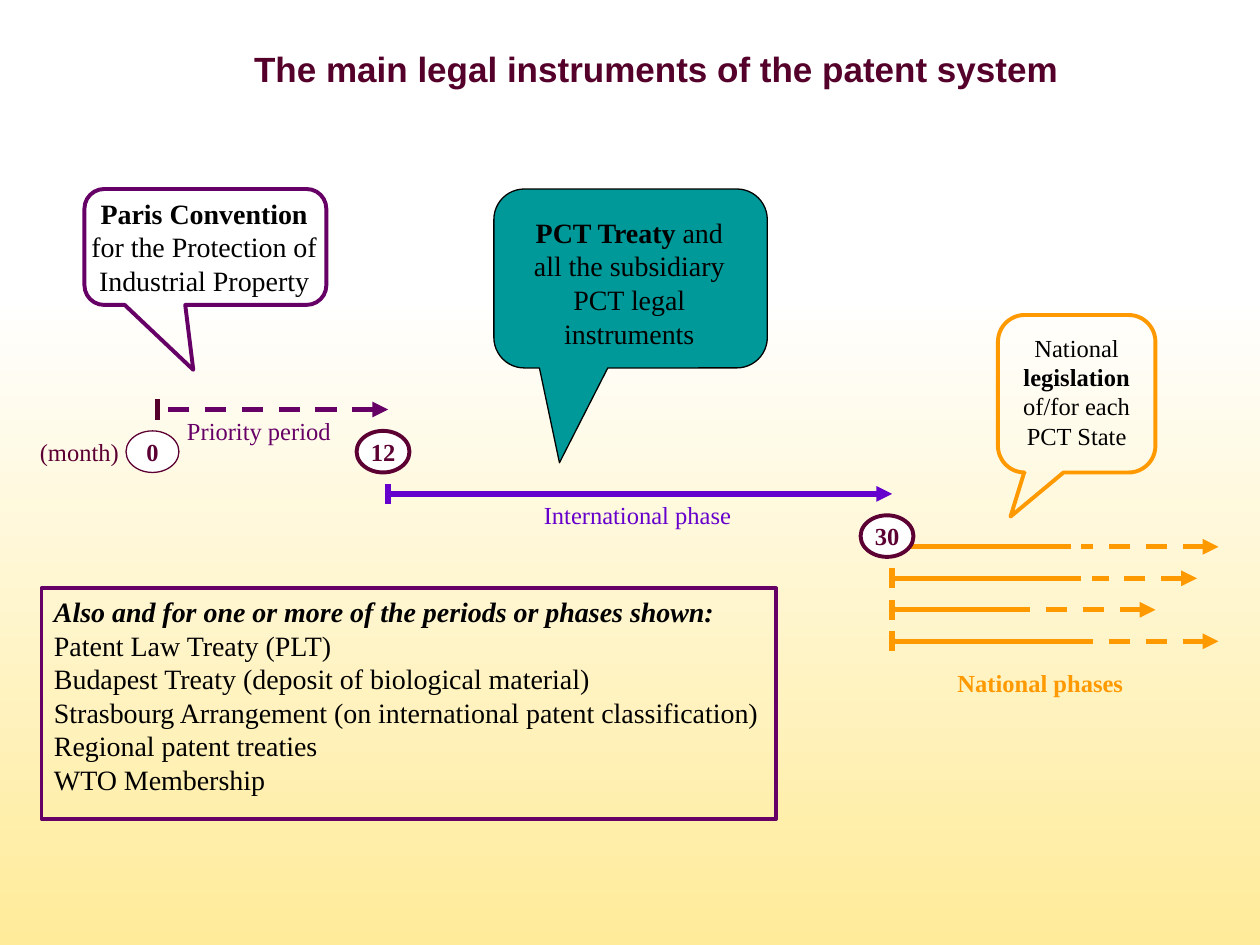
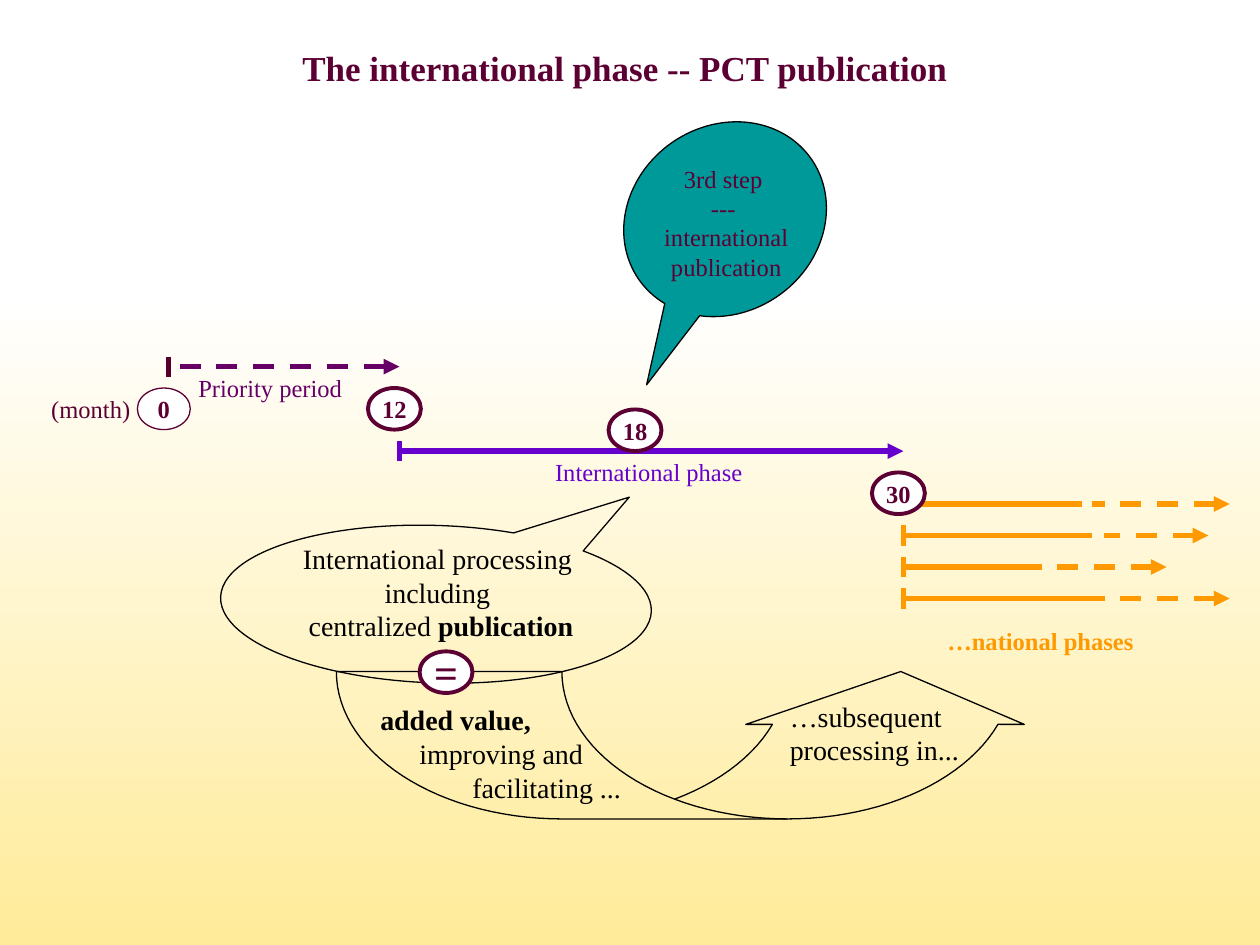
from dataclasses import dataclass
from math import cos, radians, sin

from lxml.etree import SubElement
from pptx import Presentation
from pptx.dml.color import RGBColor as Rgb
from pptx.enum.dml import MSO_LINE_DASH_STYLE as Dash
from pptx.enum.shapes import MSO_CONNECTOR as Link, MSO_SHAPE as Kind
from pptx.enum.text import MSO_ANCHOR as Anchor, PP_ALIGN as Align
from pptx.oxml.ns import qn
from pptx.shapes.autoshape import Shape
from pptx.slide import Slide
from pptx.util import Inches, Pt

HUES = {
    "white": "FFFFFF",
    "cream": "FFEB99",
    "black": "000000",
    "plum": "54002A",
    "wine": "5C0033",
    "purple": "660066",
    "violet": "6600CC",
    "orange": "FF9900",
    "teal": "009999",
}
SERIF = "Times New Roman"


@dataclass
class Label:
    rows: list[str]
    x: float
    y: float
    w: float
    h: float = 0.34
    hue: str = "black"
    size: int = 14
    align: Align = Align.CENTER
    font: str = SERIF
    steps: tuple[float, ...] = ()


@dataclass
class Form:
    kind: Kind
    x: float
    y: float
    w: float
    h: float
    line: str = "black"
    width: float = 0.75
    fill: str = ""
    turn: float = 0
    knobs: tuple[float, ...] = ()


@dataclass
class Badge:
    text: str
    x: float
    y: float
    width: float = 2.25
    size: int = 14


@dataclass
class Line:
    start: tuple[float, float]
    end: tuple[float, float]
    hue: str
    dash: bool = False
    arrow: bool = False


@dataclass
class Track:
    y: float
    left: float
    mid: float
    gap: float
    right: float


TRACKS = [
    Track(4.34, 7.17, 8.5, 8.58, 9.67),
    Track(4.59, 7.08, 8.58, 8.67, 9.5),
    Track(4.84, 7.08, 8.08, 8.08, 9.17),
    Track(5.09, 7.08, 8.67, 8.67, 9.67),
]


def tint(name: str) -> Rgb:
    return Rgb.from_string(HUES[name])


def write(shape: Shape, item: Label) -> None:
    frame = shape.text_frame
    for i, row in enumerate(item.rows):
        para = frame.paragraphs[0] if i == 0 else frame.add_paragraph()
        para.alignment = item.align
        if item.steps:
            para._p.get_or_add_pPr().set("marL", str(Inches(item.steps[i])))
        for j, part in enumerate(row.split("*")):
            if part:
                run = para.add_run()
                run.text = part
                run.font.name = item.font
                run.font.size = Pt(item.size)
                run.font.bold = j % 2 == 1
                run.font.color.rgb = tint(item.hue)


def put_label(slide: Slide, item: Label) -> Shape:
    box = slide.shapes.add_textbox(*map(Inches, (item.x, item.y, item.w, item.h)))
    box.text_frame.word_wrap = True
    write(box, item)
    return box


def style(shape: Shape, line: str, width: float, fill: str = "") -> None:
    shape.shadow.inherit = False
    shape.line.color.rgb = tint(line)
    shape.line.width = Pt(width)
    if fill:
        shape.fill.solid()
        shape.fill.fore_color.rgb = tint(fill)
    else:
        shape.fill.background()


def put_form(slide: Slide, item: Form) -> Shape:
    spot = map(Inches, (item.x, item.y, item.w, item.h))
    shape = slide.shapes.add_shape(item.kind, *spot)
    style(shape, item.line, item.width, item.fill)
    shape.rotation = item.turn
    for i, knob in enumerate(item.knobs):
        shape.adjustments[i] = knob
    return shape


def put_badge(slide: Slide, item: Badge) -> None:
    oval = put_form(slide, Form(Kind.OVAL, item.x, item.y, 0.42, 0.33,
                                "wine", item.width, "white"))
    frame = oval.text_frame
    frame.margin_left = frame.margin_right = 0
    frame.margin_top = frame.margin_bottom = 0
    frame.vertical_anchor = Anchor.MIDDLE
    frame.word_wrap = False
    write(oval, Label([f"*{item.text}*"], 0, 0, 0, hue="wine", size=item.size))


def put_line(slide: Slide, item: Line) -> None:
    ends = map(Inches, (*item.start, *item.end))
    link = slide.shapes.add_connector(Link.STRAIGHT, *ends)
    link.line.color.rgb = tint(item.hue)
    link.line.width = Pt(3)
    if item.dash:
        link.line.dash_style = Dash.DASH
    if item.arrow:
        SubElement(link.line._get_or_add_ln(), qn("a:headEnd"), type="triangle")
    SubElement(link._element.spPr, qn("a:effectLst"))


def start(deck: Presentation, title: Label) -> Slide:
    slide = deck.slides.add_slide(deck.slide_layouts[6])
    band = put_form(slide, Form(Kind.RECTANGLE, 0, 2.33, 10, 5.17))
    band.line.fill.background()
    band.fill.gradient()
    band.fill.gradient_angle = 270
    for stop, hue, spot in zip(band.fill.gradient_stops, ("white", "cream"), (0, 1)):
        stop.color.rgb = tint(hue)
        stop.position = spot
    put_label(slide, title)
    return slide


def put_phases(slide: Slide, dx: float = 0, dy: float = 0) -> None:
    def bar(x1: float, y1: float, x2: float, y2: float, hue: str,
            dash: bool = False, arrow: bool = False) -> None:
        put_line(slide, Line((x1 + dx, y1 + dy), (x2 + dx, y2 + dy), hue, dash, arrow))

    def tick(x: float, y: float, hue: str) -> None:
        bar(x, y - 0.08, x, y + 0.08, hue)

    bar(3.08, 3.25, 1.25, 3.25, "purple", True, True)
    tick(1.25, 3.25, "plum")
    bar(7.08, 3.92, 3.08, 3.92, "violet", arrow=True)
    tick(3.08, 3.92, "violet")
    for i, track in enumerate(TRACKS):
        bar(track.mid, track.y, track.left, track.y, "orange")
        bar(track.right, track.y, track.gap, track.y, "orange", True, True)
        if i:
            tick(track.left, track.y, "orange")
    for text, x, y, w, hue in (
        ("(month)", 0.17, 3.42, 0.92, "wine"),
        ("International phase ", 4.17, 3.92, 1.83, "violet"),
        ("Priority period ", 1.33, 3.25, 1.5, "purple"),
    ):
        put_label(slide, Label([text], x + dx, y + dy, w, hue=hue))
    for text, x, y, width in (
        ("0", 1, 3.42, 0.75), ("12", 2.83, 3.42, 2.25), ("30", 6.83, 4.09, 2.25),
    ):
        put_badge(slide, Badge(text, x + dx, y + dy, width))


def arc(x: float, first: int, last: int) -> list[tuple[float, float]]:
    step = 3 if last > first else -3
    turns = [radians(a) for a in range(first, last + step, step)]
    return [(x + 1.79 * cos(a), 5.33 + 1.17 * sin(a)) for a in turns]


def put_swoosh(slide: Slide) -> None:
    near, far = 4.46, 6.25
    edge = (
        arc(near, 180, 90) + arc(far, 90, 21)
        + [(8.13, 5.75), (7.15, 5.33), (5.92, 5.75)]
        + arc(near, 21, 60) + arc(far, 120, 180) + [(2.67, 5.33)]
    )
    fold = arc(far, 90, 120)
    edge, fold = ([(Inches(x), Inches(y)) for x, y in row] for row in (edge, fold))
    pen = slide.shapes.build_freeform(*edge[0])
    pen.add_line_segments(edge[1:], close=False)
    pen.move_to(*fold[0])
    pen.add_line_segments(fold[1:], close=False)
    style(pen.convert_to_shape(), "black", 0.75)


def make_laws(deck: Presentation) -> None:
    slide = start(deck, Label(["*The main legal instruments of the patent system*"],
                              0.75, 0.33, 8.92, 0.44, "plum", 20, font="Arial"))
    put_phases(slide)
    put_label(slide, Label(["*National phases*"], 7.5, 5.25, 1.58,
                           hue="orange", align=Align.LEFT))
    bubble = Kind.ROUNDED_RECTANGULAR_CALLOUT
    for form in (
        Form(bubble, 0.67, 1.5, 1.92, 0.92, "purple", 2.25, knobs=(-0.05, 1.06, 0.17)),
        Form(bubble, 3.92, 1.5, 2.17, 1.42, fill="teal", knobs=(-0.26, 1.03, 0.17)),
        Form(bubble, 7.92, 2.5, 1.25, 1.25, "orange", 2.25, knobs=(-0.42, 0.78, 0.17)),
        Form(Kind.RECTANGLE, 0.33, 4.67, 5.83, 1.83, "purple", 2.25),
    ):
        put_form(slide, form)
    for label in (
        Label(["*Paris Convention* for the Protection of Industrial Property"],
              0.58, 1.51, 2.08, 0.9, size=16),
        Label(["*PCT Treaty* and all the subsidiary PCT legal instruments"],
              4.08, 1.66, 1.83, 1.17, size=16),
        Label(["National* legislation *of/for each PCT State"], 7.92, 2.59, 1.25, 1.04),
    ):
        put_label(slide, label)
    notes = put_label(slide, Label([
        "*Also and for one or more of the periods or phases shown:*",
        "Patent Law Treaty (PLT)",
        "Budapest Treaty (deposit of biological material)",
        "Strasbourg Arrangement (on international patent classification)",
        "Regional patent treaties",
        "WTO Membership",
    ], 0.33, 4.67, 5.92, 1.7, size=16, align=Align.LEFT))
    notes.text_frame.paragraphs[0].runs[0].font.italic = True


def make_print(deck: Presentation) -> None:
    slide = start(deck, Label(["*The international phase -- PCT publication*"],
                              0.5, 0.32, 8.92, 0.44, "wine", 20))
    put_phases(slide, 0.09, -0.34)
    put_label(slide, Label(["*…national phases*"], 7.42, 4.92, 1.75,
                           hue="orange", align=Align.LEFT))
    bubble = Kind.OVAL_CALLOUT
    put_form(slide, Form(bubble, 1.75, 4.17, 3.42, 1.25, turn=181.9, knobs=(-0.44, 0.72)))
    put_form(slide, Form(bubble, 4.92, 1, 1.67, 1.48, fill="teal", turn=324.6,
                         knobs=(-0.76, 0.48)))
    put_swoosh(slide)
    for label in (
        Label(["International processing ", "including ", "centralized *publication*"],
              1.75, 4.25, 3.5, 0.9, size=16),
        Label(["…subsequent processing in..."], 6.17, 5.5, 1.83, 0.64,
              size=16, align=Align.LEFT),
        Label(["*added value,*", "improving and", "facilitating ..."],
              2.92, 5.53, 2.67, 0.9, size=16, align=Align.LEFT, steps=(0, 0.31, 0.73)),
        Label(["3rd step", "---", " international", " publication"],
              4.99, 1.25, 1.5, 1.04, "wine"),
    ):
        put_label(slide, label)
    put_badge(slide, Badge("=", 3.33, 5.17, size=24))
    put_badge(slide, Badge("18", 4.83, 3.25))


def main() -> None:
    deck = Presentation()
    deck.slide_width = Inches(10)
    deck.slide_height = Inches(7.5)
    make_laws(deck)
    make_print(deck)
    deck.save("out.pptx")


if __name__ == "__main__":
    main()
